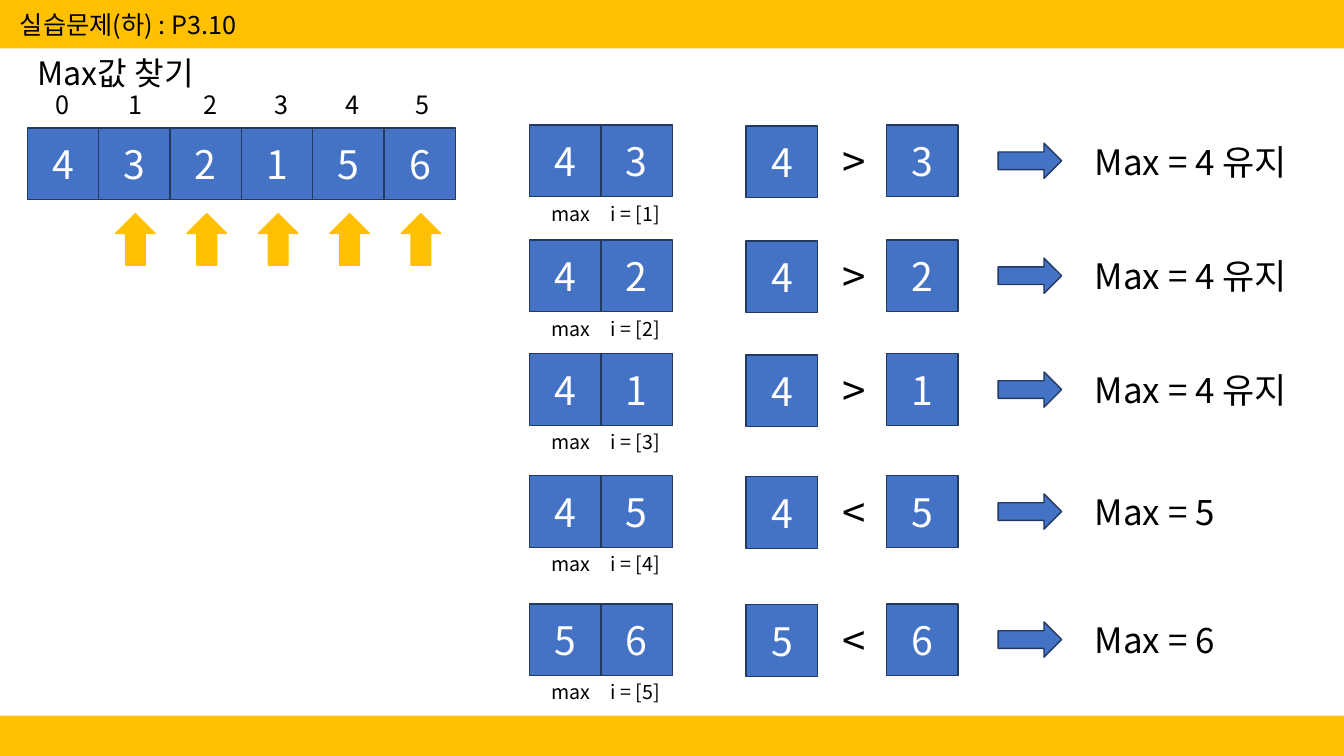
from dataclasses import dataclass

from lxml.etree import SubElement
from pptx import Presentation
from pptx.dml.color import RGBColor
from pptx.enum.shapes import MSO_SHAPE as SHAPE
from pptx.enum.text import MSO_ANCHOR as ANCHOR, PP_ALIGN as ALIGN
from pptx.oxml.ns import qn
from pptx.shapes.autoshape import Shape
from pptx.shapes.shapetree import _BaseGroupShapes as Shapes
from pptx.text.text import TextFrame
from pptx.util import Inches, Pt

FONT = "Noto Sans CJK KR"
COLORS = {
    "gold": "FFC000",
    "blue": "4472C4",
    "navy": "223961",
    "black": "000000",
    "white": "FFFFFF",
}
SLIDE_W, SLIDE_H = 13.33, 7.5
CELL = 0.71
ARRAY_LEFT, ARRAY_TOP, ARRAY_PITCH = 0.27, 1.27, 0.708
INDEX_LEFTS = (0.45, 1.18, 1.92, 2.62, 3.33, 4.02)
VALUES = (4, 3, 2, 1, 5, 6)


@dataclass
class Step:
    top: float
    current_max: int
    index: int
    result: str


STEPS = (
    Step(1.24, 4, 1, "Max = 4 유지"),
    Step(2.38, 4, 2, "Max = 4 유지"),
    Step(3.51, 4, 3, "Max = 4 유지"),
    Step(4.72, 4, 4, "Max = 5"),
    Step(5.99, 5, 5, "Max = 6"),
)


def rgb(name: str) -> RGBColor:
    return RGBColor.from_string(COLORS[name])


def write(tf: TextFrame, text: str, size: float, color: str) -> None:
    """Set one run of text, with the font for Latin and Korean letters."""
    tf.text = text
    r = tf.paragraphs[0].runs[0]
    r.font.size = Pt(size)
    r.font.color.rgb = rgb(color)
    r.font.name = FONT
    SubElement(r.font._element, qn("a:ea")).set("typeface", FONT)


def add_shape(shapes: Shapes, kind: SHAPE, left: float, top: float, width: float,
              height: float, fill: str, line: str | None = None) -> Shape:
    s = shapes.add_shape(kind, Inches(left), Inches(top), Inches(width), Inches(height))
    s.shadow.inherit = False
    s.fill.solid()
    s.fill.fore_color.rgb = rgb(fill)
    if line:
        s.line.color.rgb = rgb(line)
        s.line.width = Pt(1)
    else:
        s.line.fill.background()
    return s


def add_cell(shapes: Shapes, left: float, top: float, value: int) -> None:
    s = add_shape(shapes, SHAPE.RECTANGLE, left, top, CELL, CELL, "blue", "navy")
    tf = s.text_frame
    write(tf, str(value), 28, "white")
    tf.vertical_anchor = ANCHOR.MIDDLE
    tf.paragraphs[0].alignment = ALIGN.CENTER


def add_label(shapes: Shapes, left: float, top: float, width: float, height: float,
              text: str, size: float) -> None:
    s = shapes.add_textbox(Inches(left), Inches(top), Inches(width), Inches(height))
    s.text_frame.word_wrap = True
    write(s.text_frame, text, size, "black")


def add_array(shapes: Shapes) -> None:
    """Draw the list with its indices and the arrows under the compared items."""
    cells = shapes.add_group_shape().shapes
    for i, (value, index_left) in enumerate(zip(VALUES, INDEX_LEFTS)):
        add_cell(cells, ARRAY_LEFT + i * ARRAY_PITCH, ARRAY_TOP, value)
        add_label(shapes, index_left, 0.84, 0.34, 0.4, str(i), 18)
        if i:
            add_shape(shapes, SHAPE.UP_ARROW, 0.44 + i * ARRAY_PITCH, 2.12, 0.39, 0.51,
                      "gold", "gold")


def add_step(shapes: Shapes, step: Step) -> None:
    """Draw one row: the pair, its comparison and the resulting maximum."""
    top, value = step.top, VALUES[step.index]
    pair = shapes.add_group_shape().shapes
    add_cell(pair, 5.25, top, step.current_max)
    add_cell(pair, 5.25 + CELL, top, value)
    add_label(pair, 5.37, top + CELL, 0.6, 0.33, "max", 14)
    add_label(pair, 5.96, top + CELL, 0.71, 0.33, f"i = [{step.index}]", 14)

    comparison = shapes.add_group_shape().shapes
    add_cell(comparison, 7.4, top + 0.01, step.current_max)
    add_cell(comparison, 8.79, top, value)
    sign = ">" if step.current_max > value else "<"
    add_label(comparison, 8.26, top + 0.06, 0.63, 0.6, sign, 30)
    add_shape(comparison, SHAPE.RIGHT_ARROW, 9.9, top + 0.18, 0.63, 0.35, "blue", "navy")
    add_label(comparison, 10.76, top + 0.1, 2.36, 0.52, step.result, 25)


def main() -> None:
    prs = Presentation()
    prs.slide_width, prs.slide_height = Inches(SLIDE_W), Inches(SLIDE_H)
    shapes = prs.slides.add_slide(prs.slide_layouts[6]).shapes

    add_shape(shapes, SHAPE.RECTANGLE, 0, 7.1, SLIDE_W, 0.4, "gold")
    add_shape(shapes, SHAPE.RECTANGLE, 0, 0, SLIDE_W, 0.48, "gold")
    add_label(shapes, 0.1, 0.04, 6.67, 0.4, "실습문제(하) : P3.10", 18)
    add_label(shapes, 0.27, 0.48, 2.13, 0.48, "Max값 찾기", 23)
    add_array(shapes)
    for step in STEPS:
        add_step(shapes, step)
    prs.save("out.pptx")


if __name__ == "__main__":
    main()
